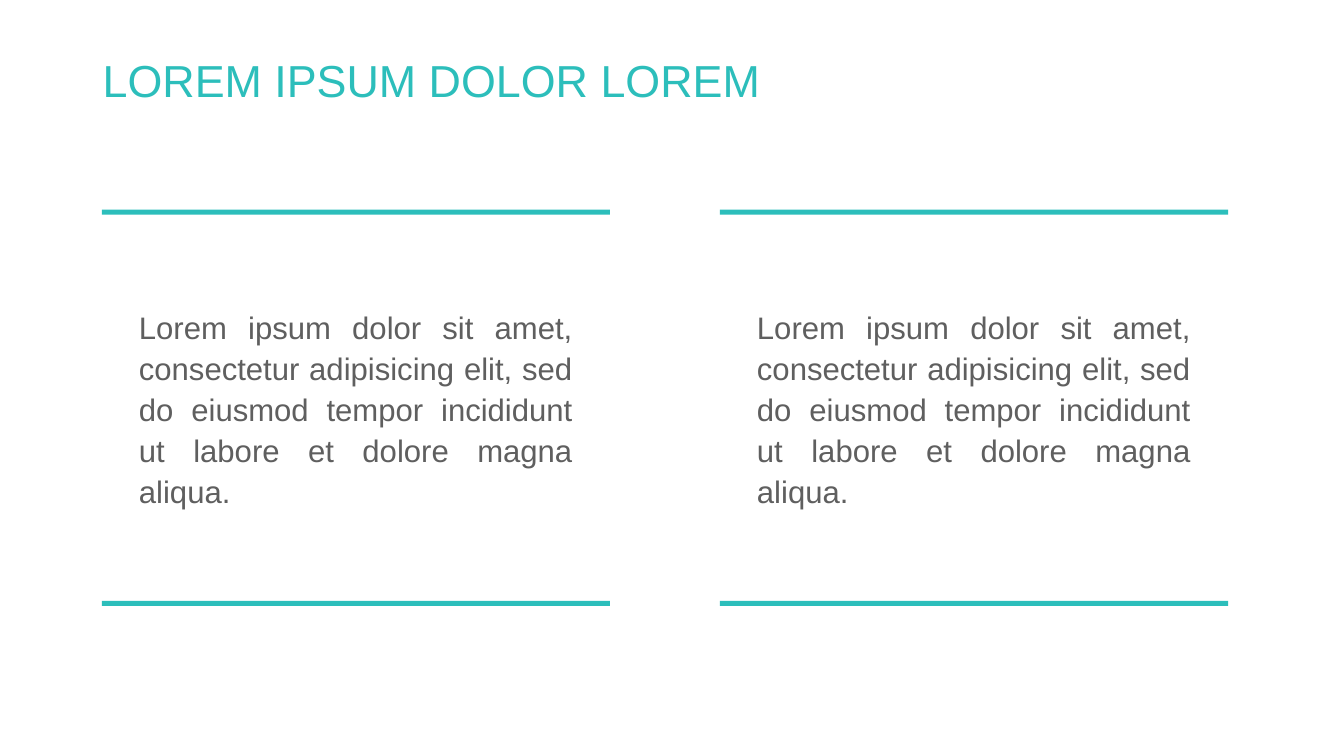
from pptx import Presentation
from pptx.dml.color import RGBColor
from pptx.enum.shapes import MSO_SHAPE as Shape
from pptx.enum.text import MSO_ANCHOR as Anchor, PP_ALIGN as Align
from pptx.util import Inches, Pt

TEAL = "2CBEBB"
GRAY = "5F5F5F"
TITLE = "LOREM IPSUM DOLOR LOREM"
BODY = ("Lorem ipsum dolor sit amet, consectetur adipisicing elit, sed do "
        "eiusmod tempor incididunt ut labore et dolore magna aliqua.")

COLUMN_LEFT = 1.01
COLUMN_WIDTH = 5.04
COLUMN_STEP = 6.13
RULE_TOPS = (2.08, 5.96)
RULE_HEIGHT = 0.05
BODY_INDENT = 0.27


def color(value):
    """Turn a hex string into a colour."""
    return RGBColor.from_string(value)


def add_text(slide, box, text, size, hex_color, align, line_spacing):
    """Add one wrapped, vertically centred paragraph."""
    frame = slide.shapes.add_textbox(*map(Inches, box)).text_frame
    frame.word_wrap = True
    frame.vertical_anchor = Anchor.MIDDLE
    paragraph = frame.paragraphs[0]
    paragraph.alignment = align
    paragraph.line_spacing = line_spacing
    run = paragraph.add_run()
    run.text = text
    run.font.name = "Arial"
    run.font.size = Pt(size)
    run.font.color.rgb = color(hex_color)


def add_rule(slide, left, top):
    """Add a teal bar as wide as a column."""
    box = (left, top, COLUMN_WIDTH, RULE_HEIGHT)
    shape = slide.shapes.add_shape(Shape.RECTANGLE, *map(Inches, box))
    shape.shadow.inherit = False
    shape.fill.solid()
    shape.fill.fore_color.rgb = color(TEAL)
    shape.line.fill.background()


def add_column(slide, index):
    """Add a text block framed by a bar above and a bar below."""
    left = COLUMN_LEFT + index * COLUMN_STEP
    body_box = (left + BODY_INDENT, 2.91, COLUMN_WIDTH - 2 * BODY_INDENT, 2.26)
    add_text(slide, body_box, BODY, 22.2, GRAY, Align.JUSTIFY, 1.1)
    for top in RULE_TOPS:
        add_rule(slide, left, top)


def main():
    """Build the slide and save it."""
    presentation = Presentation()
    presentation.slide_width = Inches(13.33)
    presentation.slide_height = Inches(7.5)
    slide = presentation.slides.add_slide(presentation.slide_layouts[6])
    add_text(slide, (0.92, 0.43, 11.5, 0.79), TITLE, 32, TEAL, Align.LEFT, 0.9)
    for index in range(2):
        add_column(slide, index)
    presentation.save("out.pptx")


if __name__ == "__main__":
    main()
